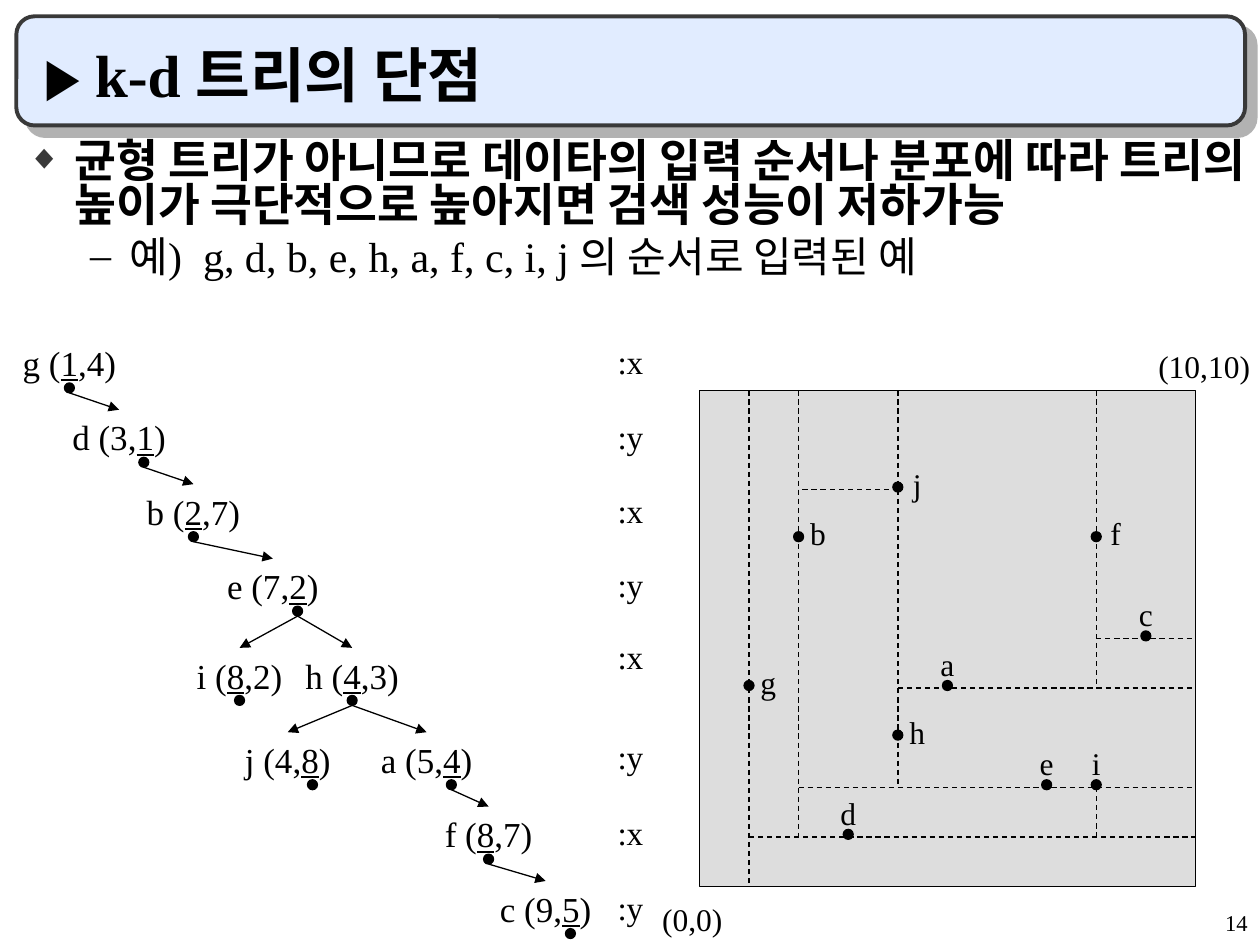
from lxml import etree
from pptx import Presentation
from pptx.dml.color import RGBColor
from pptx.enum.dml import MSO_LINE
from pptx.enum.shapes import MSO_CONNECTOR, MSO_SHAPE
from pptx.enum.text import MSO_ANCHOR, PP_ALIGN
from pptx.oxml import parse_xml
from pptx.oxml.ns import nsdecls, qn
from pptx.util import Cm, Pt

BLACK = RGBColor(0x00, 0x00, 0x00)
CHARCOAL = RGBColor(0x39, 0x39, 0x39)
PALE_BLUE = RGBColor(0xE1, 0xEC, 0xFF)
PLOT_GRAY = RGBColor(0xDD, 0xDD, 0xDD)
FONT = "Times New Roman"

ROUND_RECT, RECT, OVAL = MSO_SHAPE.ROUNDED_RECTANGLE, MSO_SHAPE.RECTANGLE, MSO_SHAPE.OVAL
STRAIGHT, DASH = MSO_CONNECTOR.STRAIGHT, MSO_LINE.DASH
LEFT, CENTER, RIGHT = PP_ALIGN.LEFT, PP_ALIGN.CENTER, PP_ALIGN.RIGHT
BOTTOM = MSO_ANCHOR.BOTTOM

DOT = 0.2  # diameter of every point, cm

# Tree nodes: x, y, parent, centre of the label, its row, depth
NODES = {
    "g": (1, 4, None, 1.2, 0, 0),
    "d": (3, 1, "g", 2.2, 1.5, 1),
    "b": (2, 7, "d", 3.7, 3, 2),
    "e": (7, 2, "b", 5.3, 4.5, 3),
    "i": (8, 2, "e", 4.63, 6.3, 4),
    "h": (4, 3, "e", 6.9, 6.3, 4),
    "j": (4, 8, "h", 5.6, 8, 5),
    "a": (5, 4, "h", 8.4, 8, 5),
    "f": (8, 7, "a", 9.65, 9.5, 6),
    "c": (9, 5, "f", 10.8, 11, 7),
}
AXIS_ROWS = [0, 1.5, 3, 4.5, 5.95, 7.95, 9.5, 11]

# Splitting lines on the 10 by 10 plane: x1, y1, x2, y2
SPLITS = [
    (1, 10, 1, 0), (1, 1, 10, 1), (2, 10, 2, 1), (2, 2, 10, 2), (4, 10, 4, 2),
    (8, 2, 8, 1), (4, 4, 10, 4), (4, 8, 2, 8), (8, 10, 8, 4), (8, 5, 10, 5),
]
LABELLED_BESIDE = "bfghj"


def style_font(paragraph, size, bold=False):
    font = paragraph.font
    font.name, font.size, font.bold = FONT, Pt(size), bold
    font.color.rgb = BLACK


def add_text(slide, left, top, width, height, runs, size, align=LEFT, wrap=True, bold=False):
    box = slide.shapes.add_textbox(Cm(left), Cm(top), Cm(width), Cm(height))
    box.text_frame.word_wrap = wrap
    paragraph = box.text_frame.paragraphs[0]
    paragraph.alignment = align
    for text in runs:
        paragraph.add_run().text = text
    style_font(paragraph, size, bold)
    return box


def add_shape(slide, preset, left, top, width, height, fill, line=BLACK, weight=0.75):
    shape = slide.shapes.add_shape(preset, Cm(left), Cm(top), Cm(width), Cm(height))
    shape.shadow.inherit = False
    shape.fill.solid()
    shape.fill.fore_color.rgb = fill
    shape.line.color.rgb = line
    shape.line.width = Pt(weight)
    return shape


def add_dot(slide, x, y):
    add_shape(slide, OVAL, x - DOT / 2, y - DOT / 2, DOT, DOT, BLACK)


def add_line(slide, x1, y1, x2, y2):
    line = slide.shapes.add_connector(STRAIGHT, Cm(x1), Cm(y1), Cm(x2), Cm(y2))
    line.line.color.rgb = BLACK
    line.line.width = Pt(0.75)
    etree.SubElement(line._element.spPr, qn("a:effectLst"))
    return line


def add_bullet(paragraph, char, color, percent, margin, indent):
    properties = paragraph._p.get_or_add_pPr()
    properties.set("marL", str(Cm(margin)))
    properties.set("indent", str(Cm(indent)))
    for xml in (
        f'<a:buClr {nsdecls("a")}><a:srgbClr val="{color}"/></a:buClr>',
        f'<a:buSzPct {nsdecls("a")} val="{percent * 1000}"/>',
        f'<a:buFont {nsdecls("a")} typeface="{FONT}"/>',
        f'<a:buChar {nsdecls("a")} char="{char}"/>',
    ):
        properties.append(parse_xml(xml))


def add_title(slide, left, top, width, height):
    banner = add_shape(slide, ROUND_RECT, left, top, width, height, PALE_BLUE, CHARCOAL, 2.25)
    effects = banner._element.spPr.find(qn("a:effectLst"))
    effects.append(parse_xml(
        f'<a:outerShdw {nsdecls("a")} dist="{Pt(8.5)}" dir="2700000" algn="ctr" '
        'rotWithShape="0"><a:srgbClr val="B2B2B2"/></a:outerShdw>'))
    title = add_text(slide, left + 0.3, top + 0.3, width - 0.85, 1.7,
                     ["▶ ", "k-d 트리의 단점"], 34, bold=True)
    title.text_frame.vertical_anchor = BOTTOM
    title.text_frame.paragraphs[0].runs[0].font.size = Pt(32)


def add_body(slide, left, top, width, height):
    box = slide.shapes.add_textbox(Cm(left), Cm(top), Cm(width), Cm(height))
    frame = box.text_frame
    frame.word_wrap = True
    claim, example = frame.paragraphs[0], frame.add_paragraph()
    claim.text = ("균형 트리가 아니므로 데이타의 입력 순서나 분포에 따라 "
                  "트리의 높이가 극단적으로 높아지면 검색 성능이 저하가능")
    example.text = "예)  g, d, b, e, h, a, f, c, i, j 의 순서로 입력된 예"
    example.level = 1
    example.space_before = Pt(6)
    claim.line_spacing = example.line_spacing = 0.8
    add_bullet(claim, "◆", CHARCOAL, 75, 0.95, -0.95)
    add_bullet(example, "–", BLACK, 100, 2.06, -0.79)
    style_font(claim, 26, bold=True)
    style_font(example, 24)


def add_plane(slide, left, top, size):
    unit = size / 10

    def place(x, y):
        return left + x * unit, top + (10 - y) * unit

    add_shape(slide, RECT, left, top, size, size, PLOT_GRAY)
    # Points and their letters
    for letter, (x, y, *_) in NODES.items():
        dot_x, dot_y = place(x, y)
        dot_y -= 0.05
        add_dot(slide, dot_x, dot_y)
        dx, dy = (-0.11, -0.58) if letter in LABELLED_BESIDE else (-0.5, -0.94)
        add_text(slide, dot_x + dx, dot_y + dy, 1, 1.02, [letter], 18, CENTER)
    # Corners
    add_text(slide, left - 1, top + size + 0.15, 3, 1.02, ["(0,0)"], 18)
    add_text(slide, left + size - 1, top - 1, 3, 1.02, ["(10,10)"], 18)
    # Splits
    for x1, y1, x2, y2 in SPLITS:
        add_line(slide, *place(x1, y1), *place(x2, y2)).line.dash_style = DASH


def add_tree(slide, left, top):
    label_width, label_height, dot_drop = 2.4, 1.12, 1.06
    dots = {}
    for letter, (x, y, parent, center, row, depth) in NODES.items():
        # The coordinate that splits at this depth is underlined, with its dot below
        splits_y = depth % 2
        runs = [f"{letter} ({x},", f"{y}", ")"] if splits_y else [f"{letter} (", f"{x}", f",{y})"]
        label = add_text(slide, left + center - label_width / 2, top + row,
                         label_width, label_height, runs, 20, CENTER, wrap=False)
        label.text_frame.paragraphs[0].runs[1].font.underline = True
        dots[letter] = left + center + 0.5 * splits_y, top + row + dot_drop
        add_dot(slide, *dots[letter])
        if parent:
            start_x, start_y = dots[parent]
            arrow = add_line(slide, start_x, start_y + DOT / 2, left + center, top + row)
            arrow.end_connect(label, 0)
            etree.SubElement(arrow.line._get_or_add_ln(), qn("a:tailEnd"), type="triangle")
    # Splitting axis of each level
    for depth, row in enumerate(AXIS_ROWS):
        add_text(slide, left + 12, top + row, 2.5, 1.07, [":y" if depth % 2 else ":x"], 19)


def main():
    prs = Presentation()
    prs.slide_width, prs.slide_height = Cm(25.4), Cm(19.05)
    slide = prs.slides.add_slide(prs.slide_layouts[6])
    add_title(slide, 0.33, 0.33, 24.77, 2.2)
    add_body(slide, 0.3, 2.75, 25.1, 14.8)
    add_plane(slide, 14.1, 7.87, 10)
    add_tree(slide, 0.2, 6.76)
    # Page number
    add_text(slide, 20.12, 18.2, 5.28, 0.85, ["14"], 12.9, RIGHT)
    prs.save("out.pptx")


if __name__ == "__main__":
    main()
